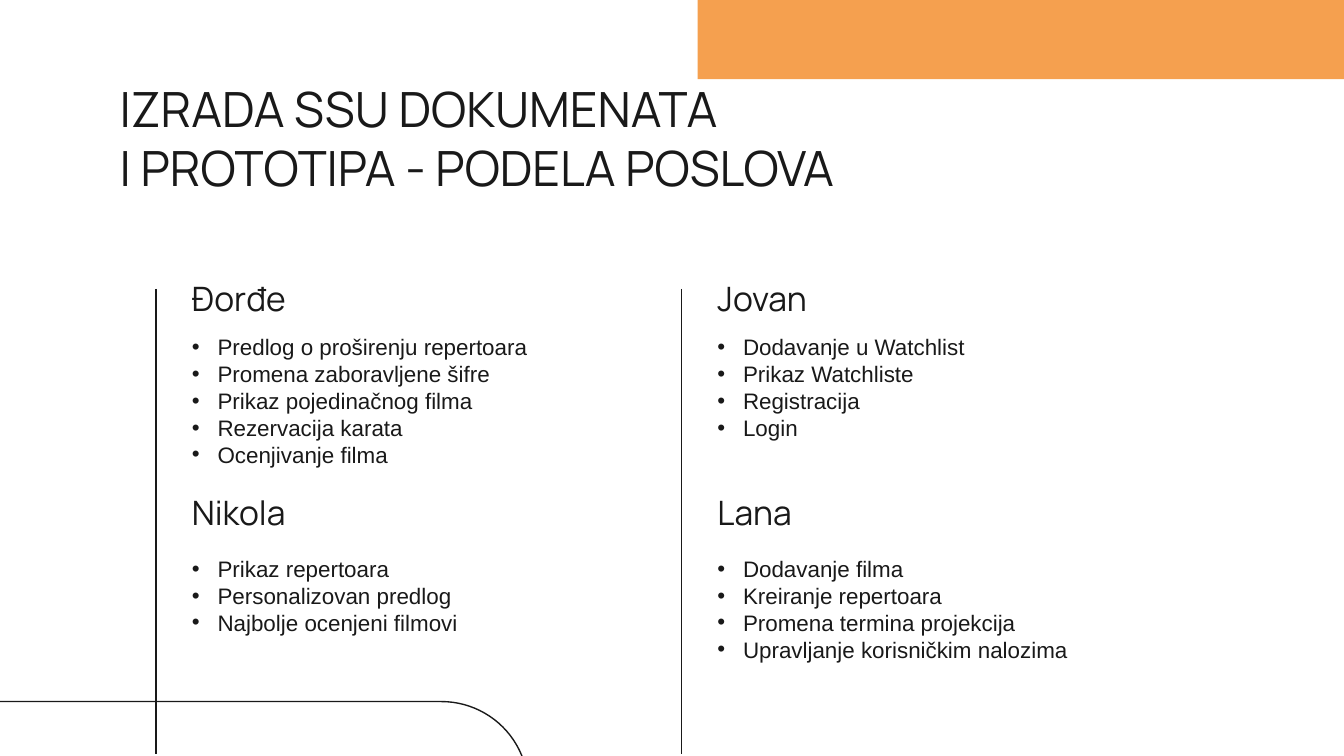
from lxml import etree
from pptx import Presentation
from pptx.dml.color import RGBColor
from pptx.enum import shapes, text
from pptx.oxml import ns
from pptx.util import Inches, Pt

INK = RGBColor(0x19, 0x19, 0x19)
ORANGE = RGBColor(0xF5, 0xA0, 0x4F)

# Content
TITLE = ["IZRADA SSU DOKUMENATA", "I PROTOTIPA - PODELA POSLOVA"]
TEAM = [  # rows of (name, tasks)
    [("Đorđe", ["Predlog o proširenju repertoara", "Promena zaboravljene šifre",
                "Prikaz pojedinačnog filma", "Rezervacija karata",
                "Ocenjivanje filma"]),
     ("Jovan", ["Dodavanje u Watchlist", "Prikaz Watchliste",
                "Registracija", "Login"])],
    [("Nikola", ["Prikaz repertoara", "Personalizovan predlog",
                 "Najbolje ocenjeni filmovi"]),
     ("Lana", ["Dodavanje filma", "Kreiranje repertoara",
               "Promena termina projekcija",
               "Upravljanje korisničkim nalozima"])],
]

# Layout, in inches
COLUMNS = [(1.33, 3.48), (5.24, 3.6)]  # left, width
ROWS = [(2.06, 2.38), (3.65, 4.03)]    # name top, tasks top
RULE_GAP = 0.17
INDENT = Inches(0.19)


def set_frame(s, anchor):
    tf = s.text_frame
    tf.word_wrap = True
    tf.auto_size = text.MSO_AUTO_SIZE.NONE
    tf.vertical_anchor = anchor
    tf.margin_left = tf.margin_right = tf.margin_top = tf.margin_bottom = Inches(0.1)
    return tf


def add_run(p, words, font, size):
    p.alignment = text.PP_ALIGN.LEFT
    r = p.add_run()
    r.text = words
    r.font.name, r.font.size = font, Pt(size)
    r.font.color.rgb = INK


def add_bullet(p):
    pPr = p._p.get_or_add_pPr()
    pPr.set("marL", str(INDENT))
    pPr.set("indent", str(-INDENT))
    clr = etree.SubElement(pPr, ns.qn("a:buClr"))
    etree.SubElement(clr, ns.qn("a:srgbClr")).set("val", str(INK))
    etree.SubElement(pPr, ns.qn("a:buFont")).set("typeface", "Arial")
    etree.SubElement(pPr, ns.qn("a:buChar")).set("char", "•")


def add_text(left, top, width, height, lines, font, size, anchor, bullets=False):
    box = s.shapes.add_textbox(*map(Inches, (left, top, width, height)))
    tf = set_frame(box, anchor)
    for i, line in enumerate(lines):
        p = tf.paragraphs[0] if i == 0 else tf.add_paragraph()
        add_run(p, line, font, size)
        if bullets:
            add_bullet(p)


def add_shape(kind, left, top, width, height):
    sp = s.shapes.add_shape(kind, *map(Inches, (left, top, width, height)))
    sp.shadow.inherit = False
    return sp


# 16:9 slide
prs = Presentation()
prs.slide_width = Inches(10)
prs.slide_height = prs.slide_width * 9 // 16
s = prs.slides.add_slide(prs.slide_layouts[5])

# Decoration: orange band and rounded outline
band = add_shape(shapes.MSO_SHAPE.RECTANGLE, 5.19, -0.01, 4.81, 0.6)
band.fill.solid()
band.fill.fore_color.rgb = ORANGE
band.line.fill.background()

pill = add_shape(shapes.MSO_SHAPE.ROUNDED_RECTANGLE, -3.59, 5.22, 7.52, 1.29)
pill.adjustments[0] = 0.5
pill.fill.background()
pill.line.color.rgb, pill.line.width = INK, Pt(0.75)

# Title
title = s.shapes.title
title.left, title.top = Inches(0.79), Inches(0.49)
title.width, title.height = Inches(6.31), Inches(1)
p = set_frame(title, text.MSO_ANCHOR.TOP).paragraphs[0]
for i, line in enumerate(TITLE):
    if i:
        p.add_line_break()
    add_run(p, line, "Manrope", 26)

# Team members and their tasks
for (name_top, tasks_top), members in zip(ROWS, TEAM):
    for (left, width), (name, tasks) in zip(COLUMNS, members):
        add_text(left, name_top, width, 0.41, [name], "Manrope", 18,
                 text.MSO_ANCHOR.BOTTOM)
        add_text(left, tasks_top, width, 1, tasks, "Arial", 12,
                 text.MSO_ANCHOR.TOP, bullets=True)

# Vertical rule beside each column
for left, _ in COLUMNS:
    x = Inches(left - RULE_GAP)
    rule = s.shapes.add_connector(shapes.MSO_CONNECTOR.STRAIGHT,
                                  x, Inches(2.15), x, Inches(5.61))
    rule.line.color.rgb, rule.line.width = INK, Pt(0.75)
    etree.SubElement(rule._element.spPr, ns.qn("a:effectLst"))

prs.save("out.pptx")
